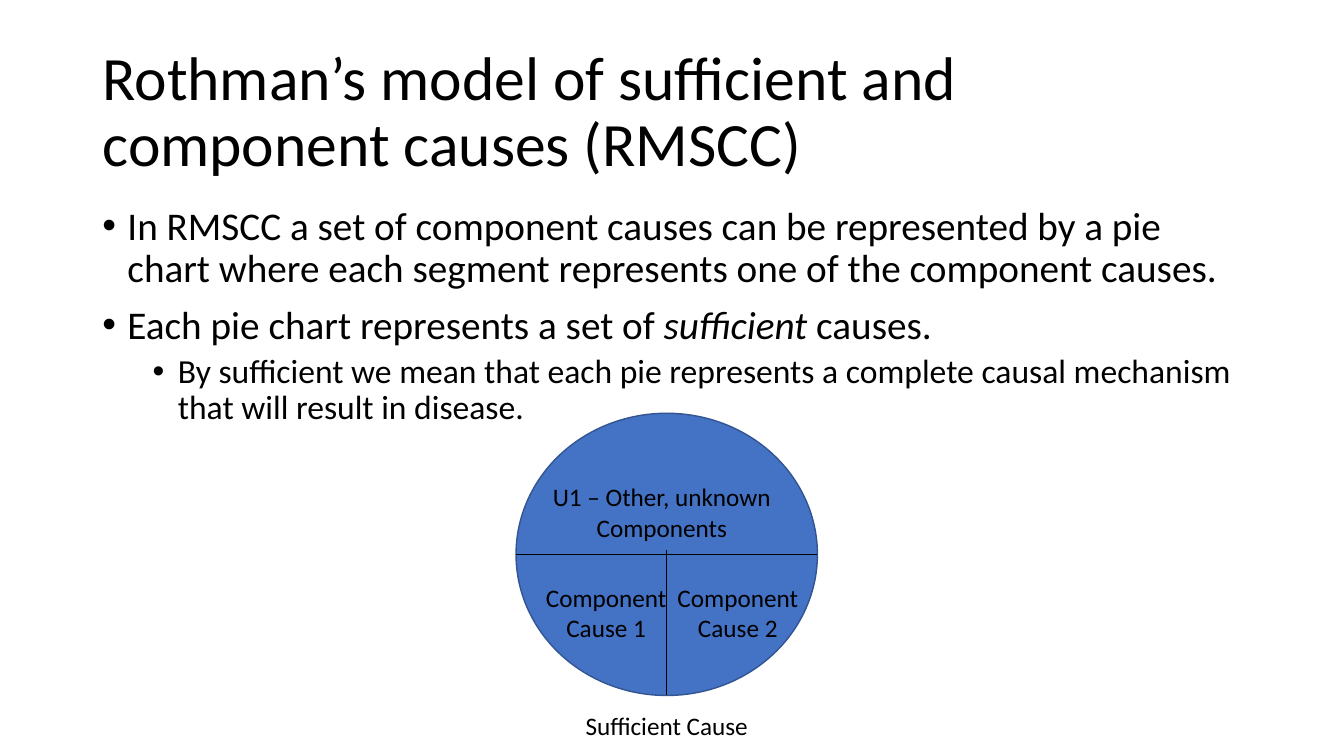
"""Build a slide on Rothman's model of sufficient and component causes."""
from dataclasses import dataclass

import pptx
import pptx.dml.color
import pptx.enum.shapes
import pptx.enum.text
import pptx.oxml
import pptx.oxml.ns
import pptx.util
from pptx.util import Pt

FONT = "Calibri"
COLORS = {"text": "000000", "pie": "4472C4", "pie_edge": "325491"}
ALIGN = pptx.enum.text.PP_ALIGN
PIE_LEFT, PIE_TOP, PIE_WIDTH, PIE_HEIGHT = 368.6, 295.2, 215.3, 201.6


@dataclass(frozen=True)
class Bullet:
    runs: tuple[tuple[str, bool], ...]
    level: int
    size: float
    before: float


@dataclass(frozen=True)
class Label:
    text: str
    left: float
    top: float
    width: float
    height: float


@dataclass(frozen=True)
class Divider:
    x1: float
    y1: float
    x2: float
    y2: float


BULLETS = (
    Bullet((("In RMSCC a set of component causes can be represented by a pie chart "
             "where each segment represents one of the component causes.", False),), 0, 28, 0),
    Bullet((("Each pie chart represents a set of ", False), ("sufficient", True),
            (" causes.", False)), 0, 28, 10),
    Bullet((("By sufficient we mean that each pie represents a complete causal mechanism "
             "that will result in disease.", False),), 1, 24, 5),
)
LABELS = (
    Label("Component Cause 1", 382, 412.5, 102, 51),
    Label("U1 – Other, unknown Components", 382, 340.5, 181.5, 51),
    Label("Component Cause 2", 463, 412.5, 128, 51),
    Label("Sufficient Cause", 382, 503.5, 188.5, 29),
)
MIDDLE_X = PIE_LEFT + PIE_WIDTH / 2
DIVIDERS = (
    Divider(PIE_LEFT, 396, PIE_LEFT + PIE_WIDTH, 396),
    Divider(MIDDLE_X, PIE_TOP + PIE_HEIGHT, MIDDLE_X, 393),
)


def rgb(name: str) -> pptx.dml.color.RGBColor:
    """Return a named colour."""
    return pptx.dml.color.RGBColor.from_string(COLORS[name])


def add_run(p, text: str, size: float, italic: bool = False) -> None:
    """Add one formatted run to a paragraph."""
    r = p.add_run()
    r.text = text
    r.font.name = FONT
    r.font.size = Pt(size)
    r.font.italic = italic
    r.font.color.rgb = rgb("text")


def add_text_frame(s, left: float, top: float, width: float, height: float):
    """Add a wrapping text box and return its text frame."""
    tf = s.shapes.add_textbox(Pt(left), Pt(top), Pt(width), Pt(height)).text_frame
    tf.word_wrap = True
    return tf


def set_title(s, text: str) -> None:
    """Place and fill the title placeholder."""
    sp = s.shapes.title
    sp.left, sp.top, sp.width, sp.height = Pt(66), Pt(28.8), Pt(828), Pt(104.4)
    tf = sp.text_frame
    tf.word_wrap = True
    tf.auto_size = pptx.enum.text.MSO_AUTO_SIZE.NONE
    tf.vertical_anchor = pptx.enum.text.MSO_ANCHOR.MIDDLE
    p = tf.paragraphs[0]
    p.alignment = ALIGN.LEFT
    p.line_spacing = 0.9
    add_run(p, text, 44)


def add_bullets(s, bullets: tuple[Bullet, ...]) -> None:
    """Add the bulleted body text."""
    tf = add_text_frame(s, 66, 144, 828, 342.7)
    for i, bullet in enumerate(bullets):
        p = tf.add_paragraph() if i else tf.paragraphs[0]
        p.level = bullet.level
        pPr = p._p.get_or_add_pPr()
        pPr.set("marL", str(Pt(18 + 36 * bullet.level)))
        pPr.set("indent", str(-Pt(18)))
        font = pptx.oxml.parse_xml(
            f'<a:buFont {pptx.oxml.ns.nsdecls("a")} typeface="Arial"/>')
        char = pptx.oxml.parse_xml(
            f'<a:buChar {pptx.oxml.ns.nsdecls("a")} char="•"/>')
        pPr.extend((font, char))
        p.line_spacing = 0.9
        p.space_before = Pt(bullet.before)
        for text, italic in bullet.runs:
            add_run(p, text, bullet.size, italic)


def add_pie(s) -> None:
    """Add the pie outline."""
    sp = s.shapes.add_shape(pptx.enum.shapes.MSO_SHAPE.OVAL, Pt(PIE_LEFT), Pt(PIE_TOP),
                            Pt(PIE_WIDTH), Pt(PIE_HEIGHT))
    sp.shadow.inherit = False
    sp.fill.solid()
    sp.fill.fore_color.rgb = rgb("pie")
    sp.line.color.rgb = rgb("pie_edge")
    sp.line.width = Pt(1)


def add_divider(s, divider: Divider) -> None:
    """Add a line between pie segments."""
    sp = s.shapes.add_connector(pptx.enum.shapes.MSO_CONNECTOR.STRAIGHT,
                                Pt(divider.x1), Pt(divider.y1),
                                Pt(divider.x2), Pt(divider.y2))
    sp.line.color.rgb = rgb("text")
    sp.line.width = Pt(0.5)
    sp._element.spPr.append(
        pptx.oxml.parse_xml(f'<a:effectLst {pptx.oxml.ns.nsdecls("a")}/>'))


def add_label(s, label: Label) -> None:
    """Add a centred label."""
    tf = add_text_frame(s, label.left, label.top, label.width, label.height)
    p = tf.paragraphs[0]
    p.alignment = ALIGN.CENTER
    add_run(p, label.text, 18)


def main() -> None:
    """Build and save the presentation."""
    prs = pptx.Presentation()
    prs.slide_width, prs.slide_height = Pt(960), Pt(540)
    s = prs.slides.add_slide(prs.slide_layouts.get_by_name("Title Only"))
    set_title(s, "Rothman’s model of sufficient and component causes (RMSCC)")
    add_bullets(s, BULLETS)
    add_pie(s)
    for divider in DIVIDERS:
        add_divider(s, divider)
    for label in LABELS:
        add_label(s, label)
    prs.save("out.pptx")


if __name__ == "__main__":
    main()
